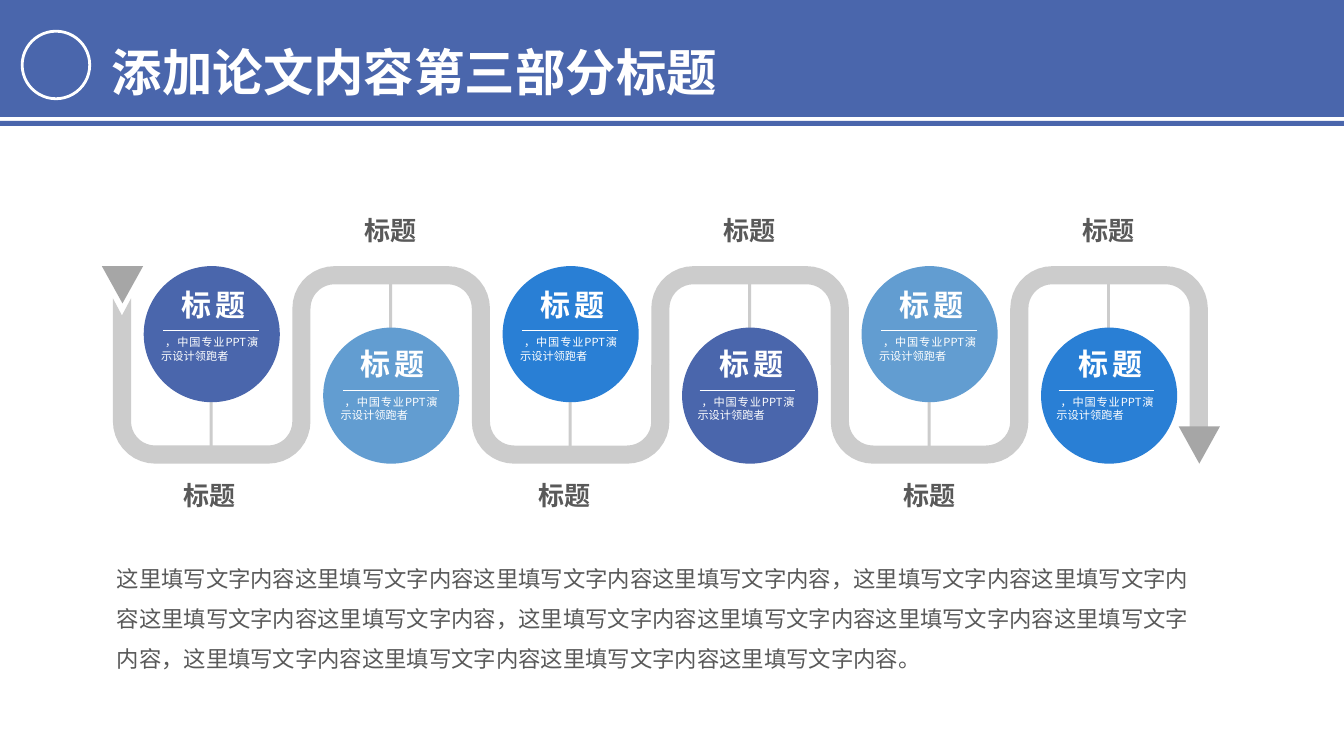
from dataclasses import dataclass
from math import cos, radians, sin

from lxml.etree import SubElement
from pptx import Presentation
from pptx.dml.color import RGBColor
from pptx.enum.shapes import MSO_CONNECTOR as Connector, MSO_SHAPE as Preset
from pptx.enum.text import MSO_ANCHOR as Anchor, MSO_AUTO_SIZE as AutoSize, PP_ALIGN as Align
from pptx.oxml.ns import qn
from pptx.util import Inches, Pt

COLOURS = {
    "indigo": "4A66AC", "sky": "629DD1", "azure": "297FD5",
    "ribbon": "CCCCCC", "arrow": "A6A6A6", "ink": "595959", "white": "FFFFFF",
}
FONT = "Noto Sans CJK SC"
WIDTH, HEIGHT = 13.33, 7.5

# Grid of the winding ribbon, in inches
FIRST_COLUMN, COLUMN = 2.1, 1.78
TOP, MIDDLE, BOTTOM = 2.64, 3.62, 4.6
BAND = 0.18
OUTER_RADIUS, CORNER = 0.42, 0.56
DIAMETER = 1.35
ARROW_WIDTH, ARROW_HEIGHT = 0.41, 0.37

HEADING = "标题"
DETAIL = " ，中国专业PPT演示设计领跑者"
FILLER = "这里填写文字内容"
BODY = "，".join([FILLER * 4] * 4) + "。"


@dataclass(frozen=True)
class Step:
    column: int
    colour: str
    detail_shift: float = 0
    caption_shift: float = 0

    @property
    def centre(self) -> float:
        return FIRST_COLUMN + COLUMN * self.column

    @property
    def raised(self) -> bool:
        return self.column % 2 == 0


@dataclass(frozen=True)
class Style:
    size: float
    colour: str
    bold: bool = False
    align: Align = Align.LEFT
    line_spacing: float = 1.0
    letter_spacing: int = 0
    wrap: bool = True


STEPS = [
    Step(0, "indigo", caption_shift=-0.02),
    Step(1, "sky"),
    Step(2, "azure", caption_shift=-0.06),
    Step(3, "indigo", detail_shift=-0.02),
    Step(4, "sky"),
    Step(5, "azure", detail_shift=-0.02),
]
TITLE = Style(36, "white", bold=True, line_spacing=1.5)
CIRCLE_HEADING = Style(21.4, "white", bold=True, align=Align.CENTER, letter_spacing=3, wrap=False)
CIRCLE_DETAIL = Style(8, "white", align=Align.JUSTIFY)
CAPTION = Style(18.6, "ink", bold=True, wrap=False)
PARAGRAPH = Style(16, "ink", line_spacing=1.5)


def rgb(name: str) -> RGBColor:
    return RGBColor.from_string(COLOURS[name])


def paint(shape, colour: str):
    shape.shadow.inherit = False
    shape.fill.solid()
    shape.fill.fore_color.rgb = rgb(colour)
    shape.line.fill.background()
    return shape


def add_preset(page, preset, left: float, top: float, width: float, height: float, colour: str):
    place = map(Inches, (left, top, width, height))
    return paint(page.shapes.add_shape(preset, *place), colour)


def write(box, text: str, style: Style) -> None:
    frame = box.text_frame
    frame.word_wrap = style.wrap
    frame.auto_size = AutoSize.SHAPE_TO_FIT_TEXT
    frame.vertical_anchor = Anchor.TOP
    para = frame.paragraphs[0]
    para.text = text
    para.alignment = style.align
    para.line_spacing = style.line_spacing
    para.font.name = FONT
    para.font.size = Pt(style.size)
    para.font.bold = style.bold
    para.font.color.rgb = rgb(style.colour)
    # East Asian typeface and letter spacing
    defaults = next(box.element.iter(qn("a:defRPr")))
    SubElement(defaults, qn("a:ea")).set("typeface", FONT)
    if style.letter_spacing:
        defaults.set("spc", str(style.letter_spacing * 100))


def add_text(page, left: float, top: float, width: float, height: float, text: str, style: Style) -> None:
    box = page.shapes.add_textbox(*map(Inches, (left, top, width, height)))
    write(box, text, style)


def add_rule(page, left: float, right: float, y: float) -> None:
    rule = page.shapes.add_connector(Connector.STRAIGHT, *map(Inches, (left, y, right, y)))
    rule.line.color.rgb = rgb("white")
    rule.line.width = Pt(0.5)
    SubElement(rule.element.spPr, qn("a:effectLst"))


def bend(radius: float) -> list[tuple[float, float]]:
    """Two quarter turns from left to right, relative to the column and the middle row."""
    return [
        (side * CORNER + radius * cos(radians(angle)), CORNER + radius * sin(radians(angle)))
        for side, angles in ((-1, range(180, 89, -10)), (1, range(90, -1, -10)))
        for angle in angles
    ]


def add_ribbon(page, step: Step) -> None:
    outer, inner = CORNER + OUTER_RADIUS, CORNER + OUTER_RADIUS - BAND
    first, last = step == STEPS[0], step == STEPS[-1]
    left_end, right_end = (-0.66 if first else 0), (-0.7 if last else 0)
    points = [(-outer, left_end), *bend(OUTER_RADIUS), (outer, right_end),
              (inner, right_end), *reversed(bend(OUTER_RADIUS - BAND)), (-inner, left_end)]
    if first:
        points.append((-(outer + inner) / 2, -0.49))
    side = 1 if step.raised else -1
    spots = [(Inches(step.centre + x), Inches(MIDDLE + side * y)) for x, y in points]
    builder = page.shapes.build_freeform(*spots[0])
    builder.add_line_segments(spots[1:])
    paint(builder.convert_to_shape(), "ribbon")


def add_step(page, step: Step) -> None:
    centre = step.centre
    circle_top = TOP if step.raised else BOTTOM - DIAMETER
    stem_top, caption_top = (3.89, 4.71) if step.raised else (2.78, 2.08)
    rule_y = 3.28 if step.raised else 3.87
    detail_centre = centre + step.detail_shift
    add_preset(page, Preset.RECTANGLE, centre - 0.02, stem_top, 0.03, 0.57, "ribbon")
    add_preset(page, Preset.OVAL, centre - DIAMETER / 2, circle_top, DIAMETER, DIAMETER, step.colour)
    add_text(page, centre - 0.43, rule_y - 0.49, 0.89, 0.46, HEADING, CIRCLE_HEADING)
    add_text(page, detail_centre - 0.6, rule_y, 1.16, 0.37, DETAIL, CIRCLE_DETAIL)
    add_rule(page, detail_centre - 0.48, detail_centre + 0.47, rule_y)
    add_text(page, centre + step.caption_shift - 0.36, caption_top, 0.72, 0.42, HEADING, CAPTION)


def add_header(page) -> None:
    for top, height in ((0, 1.16), (1.2, 0.05)):
        add_preset(page, Preset.RECTANGLE, 0, top, WIDTH, height, "indigo")
    ring = add_preset(page, Preset.OVAL, 0.22, 0.31, 0.67, 0.67, "indigo")
    ring.line.color.rgb = rgb("white")
    ring.line.width = Pt(2)
    title = page.shapes.title
    title.left, title.top, title.width, title.height = map(Inches, (1.01, 0.06, 6.24, 1.01))
    write(title, "添加论文内容第三部分标题", TITLE)
    title.element.getparent().append(title.element)  # bring in front of the header band


def main() -> None:
    deck = Presentation()
    deck.slide_width, deck.slide_height = Inches(WIDTH), Inches(HEIGHT)
    page = deck.slides.add_slide(deck.slide_layouts[5])
    add_header(page)

    # Ribbon with its two arrowheads
    for step in STEPS:
        add_ribbon(page, step)
    for left, top in ((1.01, TOP), (11.69, BOTTOM - ARROW_HEIGHT)):
        add_preset(page, Preset.FLOWCHART_MERGE, left, top, ARROW_WIDTH, ARROW_HEIGHT, "arrow")

    # Circles and their captions
    for step in STEPS:
        add_step(page, step)

    add_text(page, 1.06, 5.42, 11.04, 1.31, BODY, PARAGRAPH)
    deck.save("out.pptx")


if __name__ == "__main__":
    main()
